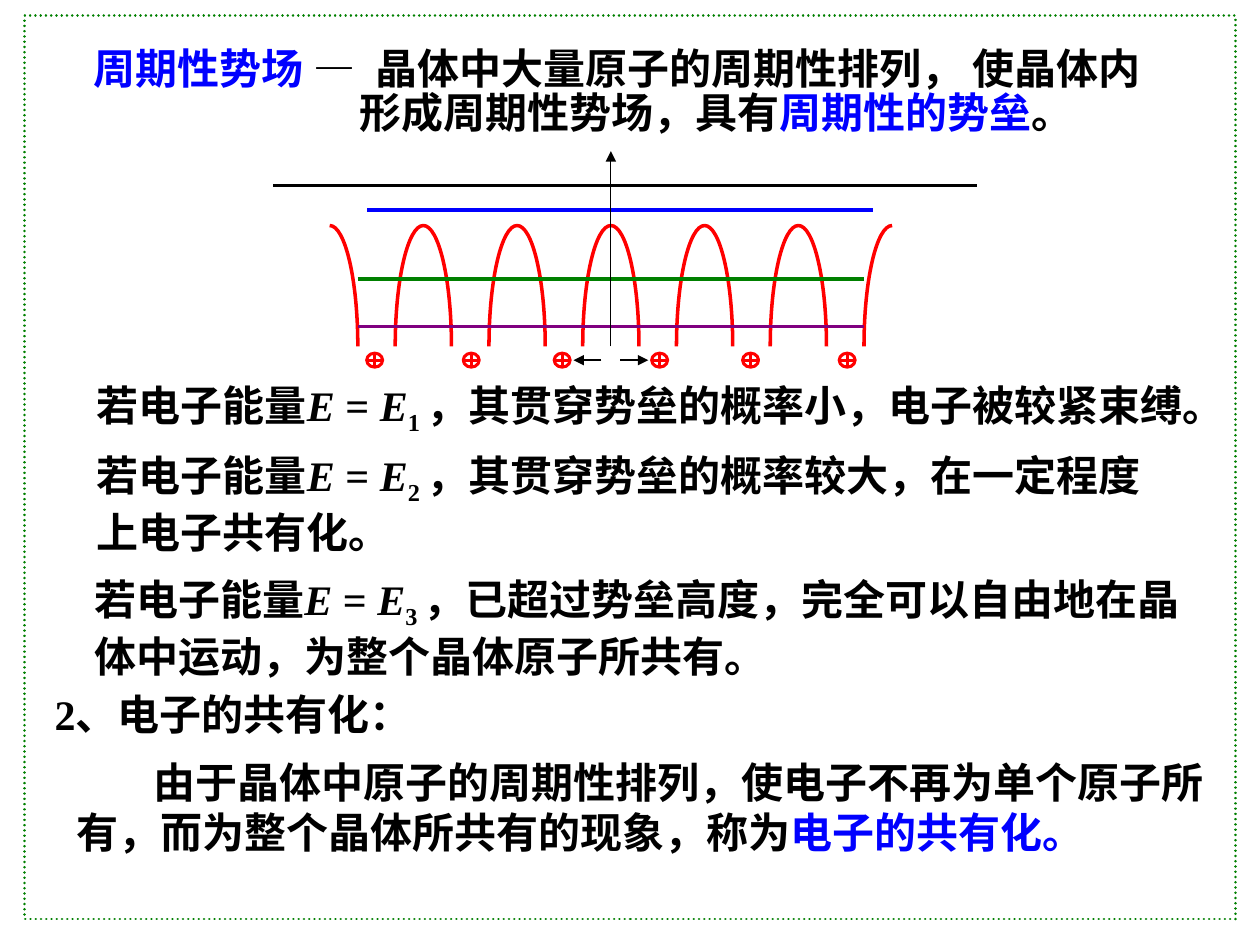
import itertools
from dataclasses import dataclass

import lxml.etree
import pptx
import pptx.dml.color
import pptx.enum.dml
import pptx.enum.shapes
import pptx.enum.text
import pptx.oxml.ns
import pptx.util


@dataclass(frozen=True)
class Theme:
    font: str = "Times New Roman"
    size: float = 24
    ink: str = "000000"
    accent: str = "0000FF"
    frame: str = "008000"
    barrier: str = "FF0000"
    low: str = "800080"
    middle: str = "008000"
    high: str = "0000FF"


THEME = Theme()
SLIDE_WIDTH, SLIDE_HEIGHT = pptx.util.Inches(10), pptx.util.Inches(7.5)
COLUMNS, ROWS = 100, 75
QUARTER_ARC = 0.55


def col(count):
    return round(SLIDE_WIDTH * count / COLUMNS)


def row(count):
    return round(SLIDE_HEIGHT * count / ROWS)


def grid_box(left, top, width, height):
    return col(left), row(top), col(width), row(height)


def rgb(color):
    return pptx.dml.color.RGBColor.from_string(color)


def sub(parent, tag, **attributes):
    return lxml.etree.SubElement(parent, pptx.oxml.ns.qn(tag), attributes)


def write(paragraph, text, color=THEME.ink, italic=False, baseline=0, spacing=0):
    run = paragraph.add_run()
    run.text = text
    run.font.name = THEME.font
    run.font.size = pptx.util.Pt(THEME.size)
    run.font.bold = True
    run.font.italic = italic
    run.font.color.rgb = rgb(color)
    if baseline:
        run.font._element.set("baseline", str(baseline * 1000))
    if spacing:
        run.font._element.set("spc", str(spacing * 100))


def indent(paragraph, left=0, first=0):
    properties = paragraph._p.get_or_add_pPr()
    properties.set("marL", str(left))
    properties.set("indent", str(first))
    sub(properties, "a:buNone")
    paragraph.alignment = pptx.enum.text.PP_ALIGN.LEFT


def place(shape, box, wrap=True):
    shape.left, shape.top, shape.width, shape.height = box
    frame = shape.text_frame
    frame.word_wrap = wrap
    frame.auto_size = pptx.enum.text.MSO_AUTO_SIZE.NONE
    frame.vertical_anchor = pptx.enum.text.MSO_ANCHOR.TOP
    return frame


def outline(shape, color, width):
    shape.shadow.inherit = False
    shape.fill.background()
    shape.line.color.rgb = rgb(color)
    shape.line.width = pptx.util.Pt(width)


def draw_line(shapes, start, end, color, width, arrow=False):
    straight = pptx.enum.shapes.MSO_CONNECTOR.STRAIGHT
    line = shapes.add_connector(straight, *start, *end)
    line.line.color.rgb = rgb(color)
    line.line.width = pptx.util.Pt(width)
    if arrow:
        sub(line.line._get_or_add_ln(), "a:tailEnd", type="triangle")
    sub(line._element.spPr, "a:effectLst")


def draw_frame(slide, box):
    border = slide.shapes.add_shape(pptx.enum.shapes.MSO_SHAPE.RECTANGLE, *box)
    outline(border, THEME.frame, 1.5)
    border.line.dash_style = pptx.enum.dml.MSO_LINE.ROUND_DOT
    border.line._get_or_add_ln().set("cap", "rnd")


def definition(slide, box):
    frame = place(slide.shapes.title, box)
    opening = frame.paragraphs[0]
    indent(opening)
    write(opening, "周期性势场", color=THEME.accent)
    write(opening, " —")
    write(opening, " ", spacing=6)
    write(opening, "晶体中大量原子的周期性排列， 使晶体内")
    closing = frame.add_paragraph()
    indent(closing, left=col(21.1))
    closing.line_spacing = 0.4
    closing.space_before = pptx.util.Pt(11)
    write(closing, "形成周期性势场，具有")
    write(closing, "周期性的势垒", color=THEME.accent)
    write(closing, "。")


def round_corners(curve):
    corners = [(int(point.get("x")), int(point.get("y")))
               for point in curve._element.spPr.iter(pptx.oxml.ns.qn("a:pt"))]
    segments = list(curve._element.spPr.iter(pptx.oxml.ns.qn("a:lnTo")))
    for segment, (start, end) in zip(segments, itertools.pairwise(corners)):
        across = round(QUARTER_ARC * (end[0] - start[0]))
        along = round(QUARTER_ARC * (end[1] - start[1]))
        if along < 0:
            controls = (start[0], start[1] + along), (end[0] - across, end[1])
        else:
            controls = (start[0] + across, start[1]), (end[0], end[1] - along)
        bend = lxml.etree.Element(pptx.oxml.ns.qn("a:cubicBezTo"))
        for x, y in (*controls, end):
            sub(bend, "a:pt", x=str(x), y=str(y))
        segment.getparent().replace(segment, bend)


def draw_barrier(shapes, points):
    builder = shapes.build_freeform(*points[0], scale=1.0)
    builder.add_line_segments(points[1:], close=False)
    curve = builder.convert_to_shape()
    round_corners(curve)
    outline(curve, THEME.barrier, 2)


def potential_field(slide, box):
    left, top, width, height = box
    shapes = slide.shapes.add_group_shape().shapes
    period = width / 7.5

    def at(periods, share):
        return round(left + (3.6 + periods) * period), round(top + share * height)

    for index in range(-3, 4):
        points = [at(index - 0.3, 0.906), at(index, 0.345), at(index + 0.3, 0.906)]
        if index == -3:
            points = points[1:]
        elif index == 3:
            points = points[:2]
        draw_barrier(shapes, points)

    for start, end, share, color, weight in (
        (-3.6, 3.9, 0.158, THEME.ink, 1.5),
        (-2.7, 2.7, 0.813, THEME.low, 2),
        (-2.7, 2.7, 0.595, THEME.middle, 2.25),
        (-2.6, 2.8, 0.273, THEME.high, 2.5),
    ):
        draw_line(shapes, at(start, share), at(end, share), color, weight)
    draw_line(shapes, at(0, 0.906), at(0, 0), THEME.ink, 0.75, arrow=True)

    ion_width, ion_height = round(0.17 * period), round(0.065 * height)
    for side in (-1, 1):
        for distance in (0.52, 1.49, 2.52):
            x, y = at(side * distance, 0.97)
            ion = shapes.add_shape(pptx.enum.shapes.MSO_SHAPE.FLOWCHART_OR,
                                   x - ion_width // 2, y - ion_height // 2,
                                   ion_width, ion_height)
            outline(ion, THEME.barrier, 1.75)
        draw_line(shapes, at(side * 0.1, 0.97), at(side * 0.4, 0.97),
                  THEME.ink, 1, arrow=True)


def energy_case(slide, box, level, consequence):
    paragraph = place(slide.shapes.add_textbox(*box), box).paragraphs[0]
    write(paragraph, "若电子能量")
    write(paragraph, "E", italic=True)
    write(paragraph, " = ")
    write(paragraph, "E", italic=True)
    write(paragraph, f"{level} ", baseline=-25)
    write(paragraph, consequence)


def section_heading(slide, box):
    frame = place(slide.shapes.add_textbox(*box), box, wrap=False)
    write(frame.paragraphs[0], "2、电子的共有化：")


def sharing(slide, box):
    paragraph = place(slide.placeholders[1], box).paragraphs[0]
    indent(paragraph, first=col(6.05))
    paragraph.space_before = pptx.util.Pt(0)
    write(paragraph, "由于晶体中原子的周期性排列，使电子不再为单个原子所有，而为整个晶体所共有的现象，称为")
    write(paragraph, "电子的共有化。", color=THEME.accent)


def main():
    deck = pptx.Presentation()
    deck.slide_width, deck.slide_height = SLIDE_WIDTH, SLIDE_HEIGHT
    slide = deck.slides.add_slide(deck.slide_layouts[1])
    draw_frame(slide, grid_box(1.95, 1.25, 96.1, 71.7))
    definition(slide, grid_box(6.45, 2.9, 90, 8.7))
    potential_field(slide, grid_box(21.7, 12, 55.8, 17.1))
    cases = (
        (grid_box(6.7, 29.6, 92.5, 5.1), "，其贯穿势垒的概率小，电子被较紧束缚。"),
        (grid_box(6.7, 35.15, 87.5, 9.1), "，其贯穿势垒的概率较大，在一定程度上电子共有化。"),
        (grid_box(6.5, 45, 89.2, 9.1), "，已超过势垒高度，完全可以自由地在晶体中运动，为整个晶体原子所共有。"),
    )
    for level, (box, consequence) in enumerate(cases, start=1):
        energy_case(slide, box, level, consequence)
    section_heading(slide, grid_box(3.35, 54.15, 30.6, 5.1))
    sharing(slide, grid_box(5.1, 59.5, 92.5, 9.1))
    deck.save("out.pptx")


if __name__ == "__main__":
    main()
